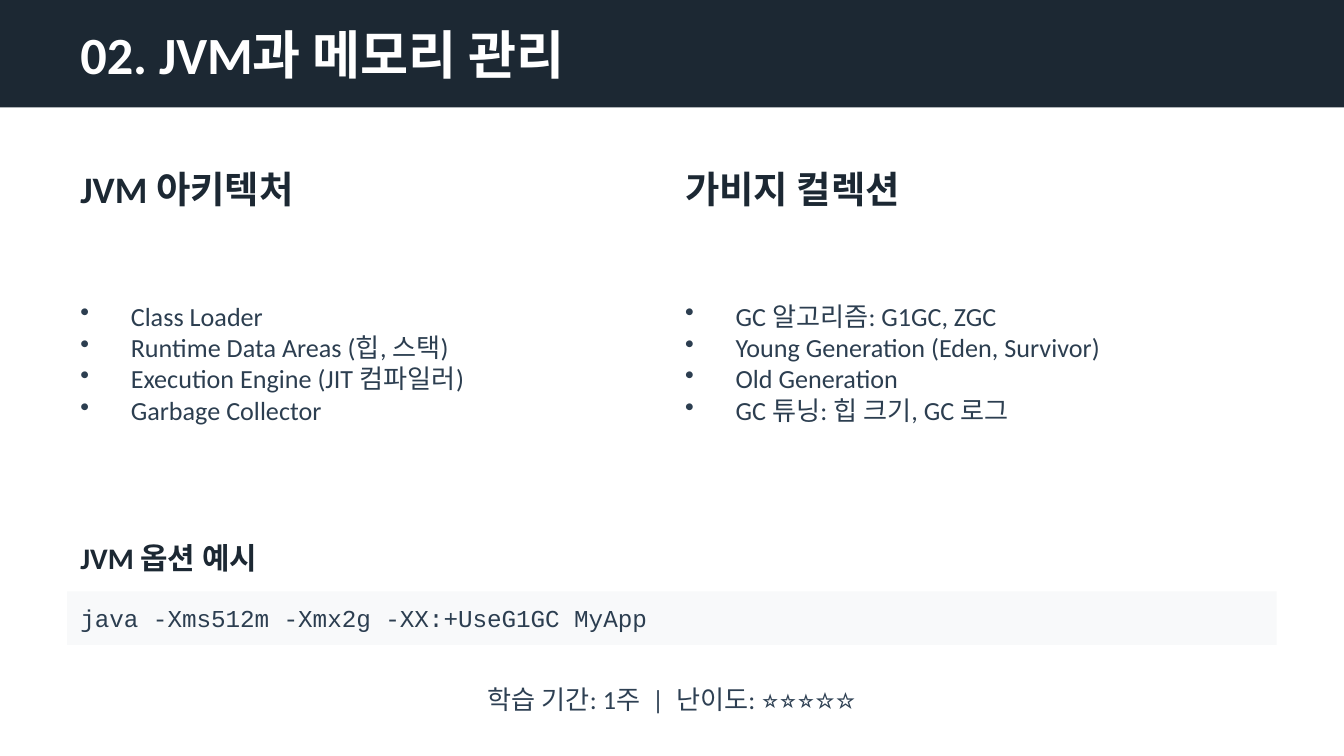
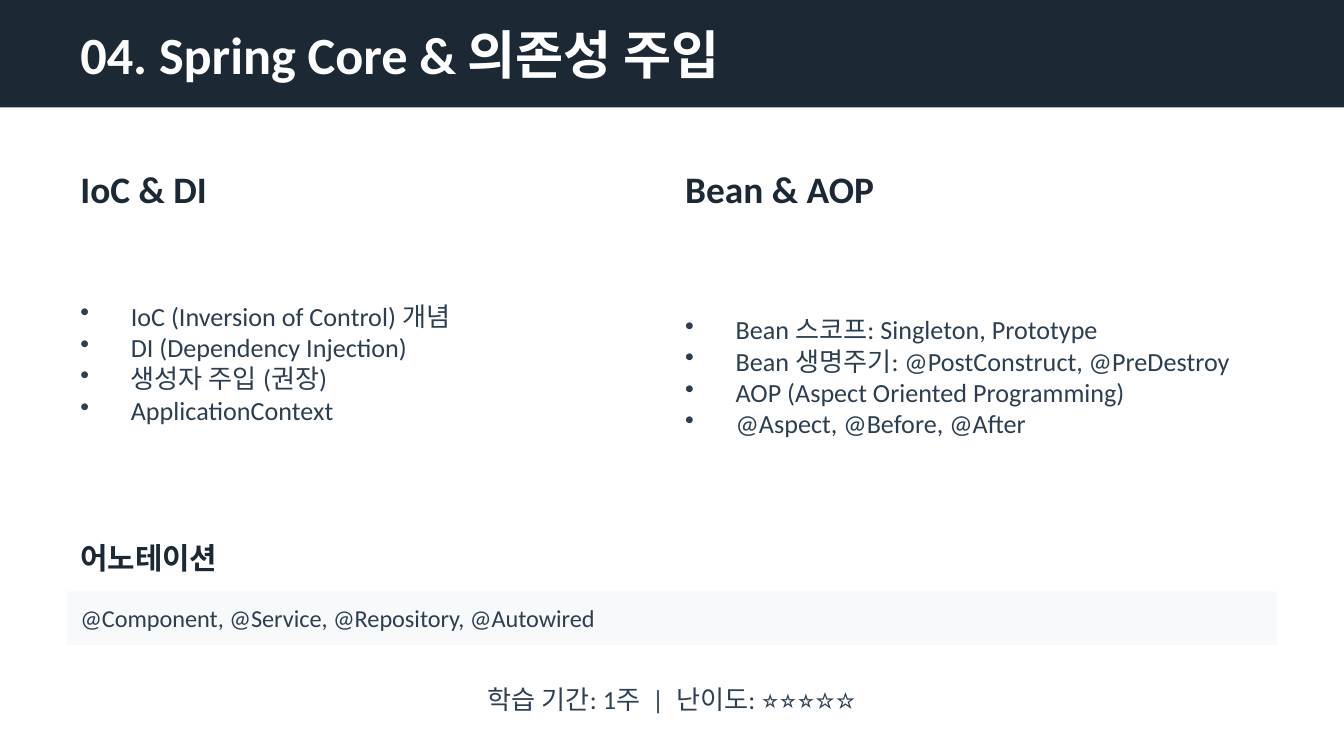
from lxml.etree import SubElement
from pptx import Presentation
from pptx.dml.color import RGBColor
from pptx.enum.shapes import MSO_SHAPE
from pptx.enum.text import MSO_ANCHOR, PP_ALIGN
from pptx.oxml.ns import qn
from pptx.util import Inches, Pt

NAVY = RGBColor(0x1C, 0x28, 0x33)
SLATE = RGBColor(0x2C, 0x3E, 0x50)
FOOTER_BLUE = RGBColor(0x2E, 0x40, 0x53)
PALE = RGBColor(0xF8, 0xF9, 0xFA)
WHITE = RGBColor(0xFF, 0xFF, 0xFF)

BODY_FONT = "Calibri"
CODE_FONT = "Courier New"
PAGE_WIDTH = 10
PAGE_HEIGHT = PAGE_WIDTH * 9 / 16
MARGIN = 0.5
CONTENT_WIDTH = PAGE_WIDTH - 2 * MARGIN
COLUMNS = ((MARGIN, 4), (5, 4.5))  # left and width of each column
BULLET_INDENT = Pt(27)
FOOTER = "학습 기간: 1주  |  난이도: ⭐⭐⭐☆☆"

TOPICS = [
    {
        "title": "02. JVM과 메모리 관리",
        "columns": [
            ("JVM 아키텍처", 2, [
                "Class Loader",
                "Runtime Data Areas (힙, 스택)",
                "Execution Engine (JIT 컴파일러)",
                "Garbage Collector",
            ]),
            ("가비지 컬렉션", 2, [
                "GC 알고리즘: G1GC, ZGC",
                "Young Generation (Eden, Survivor)",
                "Old Generation",
                "GC 튜닝: 힙 크기, GC 로그",
            ]),
        ],
        "example_title": "JVM 옵션 예시",
        "example": "java -Xms512m -Xmx2g -XX:+UseG1GC MyApp",
        "example_font": CODE_FONT,
    },
    {
        "title": "04. Spring Core & 의존성 주입",
        "columns": [
            ("IoC & DI", 2, [
                "IoC (Inversion of Control) 개념",
                "DI (Dependency Injection)",
                "생성자 주입 (권장)",
                "ApplicationContext",
            ]),
            ("Bean & AOP", 2.2, [
                "Bean 스코프: Singleton, Prototype",
                "Bean 생명주기: @PostConstruct, @PreDestroy",
                "AOP (Aspect Oriented Programming)",
                "@Aspect, @Before, @After",
            ]),
        ],
        "example_title": "어노테이션",
        "example": "@Component, @Service, @Repository, @Autowired",
        "example_font": BODY_FONT,
    },
]


def add_bullet(paragraph):
    """Give the paragraph a round bullet with a hanging indent."""
    properties = paragraph._p.get_or_add_pPr()
    properties.set("marL", str(BULLET_INDENT))
    properties.set("indent", str(-BULLET_INDENT))
    SubElement(properties, qn("a:buSzPct")).set("val", "100000")
    SubElement(properties, qn("a:buChar")).set("char", "•")


def write_text(box, lines, *, size, color, font=BODY_FONT, bold=False,
               align=PP_ALIGN.LEFT, bullets=False):
    """Fill a box with one paragraph per line, centred vertically."""
    frame = box.text_frame
    frame.word_wrap = True
    frame.vertical_anchor = MSO_ANCHOR.MIDDLE
    for index, line in enumerate(lines):
        paragraph = frame.add_paragraph() if index else frame.paragraphs[0]
        paragraph.alignment = align
        if bullets:
            add_bullet(paragraph)
        span = paragraph.add_run()
        span.text = line
        span.font.name = font
        span.font.size = Pt(size)
        span.font.bold = bold
        span.font.color.rgb = color


class TopicDeck:
    """Holds the deck, its shared style and the current page."""

    def __init__(self):
        self.deck = Presentation()
        self.deck.slide_width = Inches(PAGE_WIDTH)
        self.deck.slide_height = Inches(PAGE_HEIGHT)
        self.page = None

    def add_page(self):
        self.page = self.deck.slides.add_slide(self.deck.slide_layouts[6])

    def band(self, left, top, width, height, color):
        box = self.page.shapes.add_shape(
            MSO_SHAPE.RECTANGLE,
            Inches(left), Inches(top), Inches(width), Inches(height))
        box.shadow.inherit = False
        box.fill.solid()
        box.fill.fore_color.rgb = color
        box.line.fill.background()
        return box

    def text(self, left, top, width, height, *lines, **style):
        box = self.page.shapes.add_textbox(
            Inches(left), Inches(top), Inches(width), Inches(height))
        write_text(box, lines, **style)

    def title(self, text):
        self.band(0, 0, PAGE_WIDTH, 0.8, NAVY)
        self.text(MARGIN, 0.2, CONTENT_WIDTH, 0.4, text,
                  size=28, color=WHITE, bold=True)

    def column(self, left, width, heading, list_height, items):
        self.text(left, 1.2, width, 0.4, heading,
                  size=20, color=NAVY, bold=True)
        self.text(left, 1.7, width, list_height, *items,
                  size=14, color=SLATE, bullets=True)

    def example(self, heading, text, font):
        self.text(MARGIN, 4, CONTENT_WIDTH, 0.3, heading,
                  size=16, color=NAVY, bold=True)
        box = self.band(MARGIN, 4.4, CONTENT_WIDTH, 0.4, PALE)
        write_text(box, [text], size=13, color=SLATE, font=font)

    def footer(self):
        self.text(MARGIN, 5, CONTENT_WIDTH, 0.4, FOOTER,
                  size=14, color=FOOTER_BLUE, align=PP_ALIGN.CENTER)

    def topic(self, topic):
        self.add_page()
        self.title(topic["title"])
        for (left, width), content in zip(COLUMNS, topic["columns"]):
            self.column(left, width, *content)
        self.example(topic["example_title"], topic["example"],
                     topic["example_font"])
        self.footer()


def main():
    builder = TopicDeck()
    for topic in TOPICS:
        builder.topic(topic)
    builder.deck.save("out.pptx")


if __name__ == "__main__":
    main()
